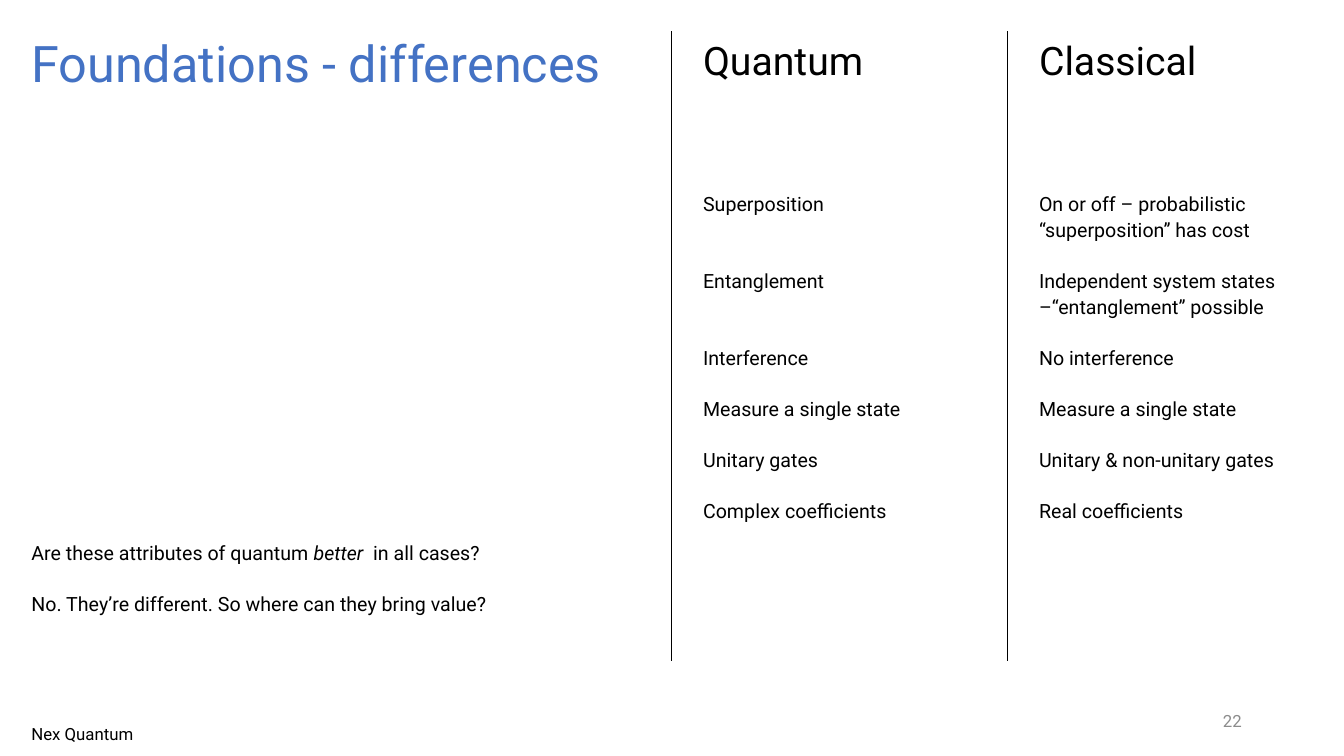
from lxml import etree
from pptx import Presentation
from pptx.dml.color import RGBColor
from pptx.enum.shapes import MSO_CONNECTOR
from pptx.enum.text import MSO_ANCHOR, PP_ALIGN
from pptx.oxml.ns import qn
from pptx.util import Pt

STRAIGHT = MSO_CONNECTOR.STRAIGHT
TOP, MIDDLE = MSO_ANCHOR.TOP, MSO_ANCHOR.MIDDLE
LEFT, RIGHT = PP_ALIGN.LEFT, PP_ALIGN.RIGHT
BLACK = RGBColor(0x00, 0x00, 0x00)
BLUE = RGBColor(0x44, 0x72, 0xC4)
GREY = RGBColor(0x8C, 0x8C, 0x8C)

TITLE = {"name": "Roboto", "size": Pt(36), "color": BLUE}
HEADING = {"name": "Roboto", "size": Pt(28), "color": BLACK}
BODY = {"name": "Roboto", "size": Pt(14), "color": BLACK}
FOOTER = {"name": "Roboto", "size": Pt(12), "color": BLACK}
PAGE_NUMBER = {**FOOTER, "color": GREY}

ITEM_GAP = 18
BODY_LINE = 18.6
LINE_SPACING = 1.1
MARGIN = 22.4

COLUMNS = [
    ("Quantum", [
        ("Superposition", 1),
        ("Entanglement", 1),
        ("Interference", 0),
        ("Measure a single state", 0),
        ("Unitary gates", 0),
        ("Complex coefficients", 0),
    ]),
    ("Classical", [
        ("On or off – probabilistic “superposition” has cost", 0),
        ("Independent system states –“entanglement” possible", 0),
        ("No interference", 0),
        ("Measure a single state", 0),
        ("Unitary & non-unitary gates", 0),
        ("Real coefficients", 0),
    ]),
]
QUESTIONS = [
    [("Are these attributes of quantum ", False), ("better ", True), (" in all cases?", False)],
    [("No. They’re different. So where can they bring value?", False)],
]


def add_span(para, text, style, italic=False):
    """Add one run of text in the given style."""
    span = para.add_run()
    span.text = text
    for key, value in {**style, "italic": italic}.items():
        if key == "color":
            span.font.color.rgb = value
        else:
            setattr(span.font, key, value)


def add_text(page, box, paras, style, spacing=1.0, align=LEFT, anchor=TOP):
    """Place paragraphs, each a list of spans and a gap after, in a box."""
    frame = page.shapes.add_textbox(*(Pt(length) for length in box)).text_frame
    layout = {"word_wrap": True, "vertical_anchor": anchor, "margin_left": 0,
              "margin_top": 0, "margin_right": 0, "margin_bottom": 0}
    for key, value in layout.items():
        setattr(frame, key, value)
    for index, (spans, gap) in enumerate(paras):
        para = frame.add_paragraph() if index else frame.paragraphs[0]
        para.alignment, para.line_spacing, para.space_after = align, spacing, Pt(gap)
        for text, italic in spans:
            add_span(para, text, style, italic)


def add_line_of_text(page, box, text, style, **layout):
    """Place a single plain paragraph in a box."""
    add_text(page, box, [([(text, False)], 0)], style, **layout)


def add_column(page, box, heading, items):
    """Draw a comparison column: rule on the left, heading, then items."""
    left, top, width, height = box
    rule = page.shapes.add_connector(STRAIGHT, Pt(left), Pt(top), Pt(left), Pt(top + height))
    rule.line.color.rgb = BLACK
    rule.line.width = Pt(1)
    etree.SubElement(rule._element.spPr, qn("a:effectLst"))
    text_left, text_width = left + MARGIN, width - 2 * MARGIN
    add_line_of_text(page, (text_left, top + 0.5, text_width, 60), heading, HEADING,
                     spacing=LINE_SPACING)
    paras = [([(text, False)], ITEM_GAP + empty_lines * BODY_LINE) for text, empty_lines in items]
    add_text(page, (text_left, top + 113, text_width, height - 113), paras, BODY, LINE_SPACING)


def add_left_side(page, box):
    """Draw the title at the top and the questions near the bottom."""
    left, top, width, height = box
    add_line_of_text(page, (left, top, width, 94), "Foundations - differences", TITLE)
    paras = [(spans, ITEM_GAP) for spans in QUESTIONS]
    add_text(page, (left, top + 361.5, width, height - 361.5), paras, BODY, LINE_SPACING)


def add_footer(page, box):
    """Draw the footer name on the left and the page number on the right."""
    left, top, width, height = box
    add_line_of_text(page, (left, top + 16.5, 300, 15), "Nex Quantum", FOOTER)
    add_line_of_text(page, (left + width - 200, top, 200, height), "22", PAGE_NUMBER,
                     align=RIGHT, anchor=MIDDLE)


def main():
    """Build and save the deck."""
    deck = Presentation()
    deck.slide_width, deck.slide_height = Pt(960), Pt(540)
    page = deck.slides.add_slide(deck.slide_layouts[6])
    add_left_side(page, (MARGIN, 23, 434, 400))
    for index, (heading, items) in enumerate(COLUMNS):
        add_column(page, (479.8 + 240 * index, 22.4, 240, 450), heading, items)
    add_footer(page, (MARGIN, 500.4, 864.6, 28.8))
    deck.save("out.pptx")


if __name__ == "__main__":
    main()
